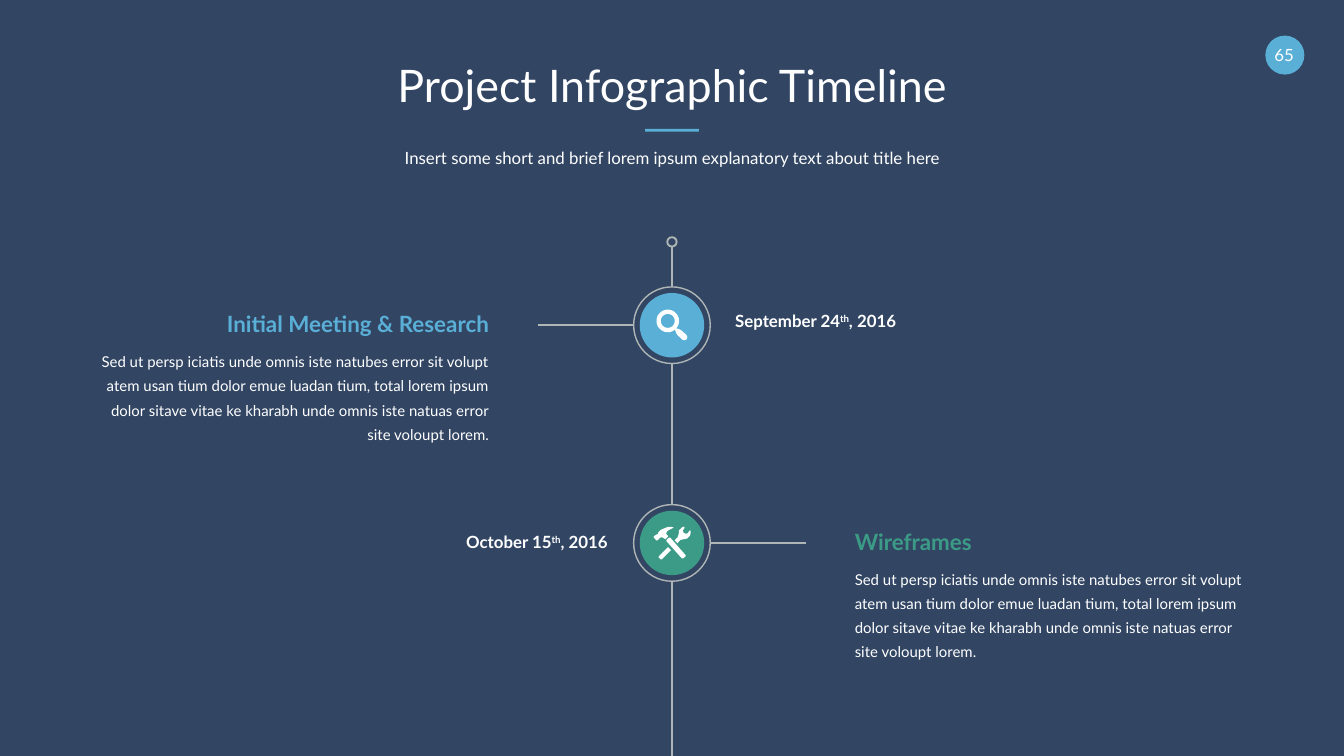
"""Build a vertical project timeline slide with two milestones."""
from dataclasses import dataclass
from math import cos, pi, sin

from lxml.etree import SubElement
from pptx import Presentation
from pptx.dml.color import RGBColor
from pptx.enum.shapes import MSO_CONNECTOR, MSO_SHAPE
from pptx.enum.text import PP_ALIGN
from pptx.oxml.ns import qn
from pptx.util import Inches, Pt

Point = tuple[float, float]
Box = tuple[float, float, float, float]
Contour = list[Point]


@dataclass(frozen=True)
class Theme:
    background: str = "324664"
    blue: str = "5AAFD7"
    green: str = "3C9B87"
    white: str = "FFFFFF"
    gray: str = "B0B6B6"
    font: str = "Lato"
    title: float = 24
    heading: float = 12
    label: float = 9
    body: float = 8
    rail: float = 1
    ring: float = 0.75


@dataclass(frozen=True)
class Milestone:
    center: float
    heading: str
    date: str
    date_top: float
    color: str
    on_left: bool
    icon: list[Contour]


def circle(x: float, y: float, radius: float) -> Contour:
    angles = [2 * pi * step / 40 for step in range(40)]
    return [(x + radius * cos(angle), y + radius * sin(angle)) for angle in angles]


THEME = Theme()
SLIDE_WIDTH = 10
SLIDE_HEIGHT = SLIDE_WIDTH * 9 / 16
AXIS = SLIDE_WIDTH / 2
RING, DISC, DOT, BADGE = 0.57, 0.48, 0.07, 0.29
TEXT_WIDTH, DATE_WIDTH, MARGIN = 2.89, 1.62, 0.75
BODY = (
    "Sed ut persp iciatis unde omnis iste natubes error sit volupt atem usan tium dolor "
    "emue luadan tium, total lorem ipsum dolor sitave vitae ke kharabh unde omnis iste "
    "natuas error site voloupt lorem."
)
MAGNIFIER = [
    circle(-31, -32, 84),
    circle(-31, -32, 52)[::-1],
    [(33, 24), (52, 28), (72, 40), (108, 72), (115, 90), (108, 106), (92, 112),
     (78, 108), (42, 74), (29, 54), (24, 33)],
]
TOOLS = [
    [(-100, 102), (-30, 32), (-8, 54), (-76, 122), (-84, 122), (-100, 108)],
    [(138, -92), (130, -92), (117, -72), (102, -68), (86, -76), (80, -92), (93, -112),
     (92, -121), (76, -118), (52, -94), (50, -66), (42, -42), (20, -20), (40, 2),
     (62, -22), (88, -28), (112, -32), (132, -52), (139, -74)],
    [(-22, -40), (-42, -22), (-42, -14), (72, 114), (82, 116), (102, 99), (102, 92),
     (-14, -40)],
    [(-92, -36), (-78, -44), (-60, -34), (-50, -28), (-30, -46), (-30, -52), (-44, -68),
     (-36, -88), (-8, -104), (10, -112), (8, -118), (-28, -120), (-54, -110), (-82, -98),
     (-100, -82), (-106, -66), (-120, -60), (-136, -48), (-136, -42), (-118, -20),
     (-110, -18), (-98, -28)],
]
MILESTONES = [
    Milestone(2.42, "Initial Meeting & Research", "September 24^th^, 2016", 2.31,
              THEME.blue, True, MAGNIFIER),
    Milestone(4.04, "Wireframes", "October 15^th^, 2016", 3.96,
              THEME.green, False, TOOLS),
]


def add_text(slide, text: str, box: Box, *, size: float, color: str = THEME.white,
             bold: bool = False, align=PP_ALIGN.LEFT, spacing: float = 1) -> None:
    frame = slide.shapes.add_textbox(*map(Inches, box)).text_frame
    frame.word_wrap = True
    frame.margin_left = frame.margin_right = frame.margin_top = frame.margin_bottom = 0
    paragraph = frame.paragraphs[0]
    paragraph.alignment = align
    paragraph.line_spacing = spacing
    for index, part in enumerate(text.split("^")):
        run = paragraph.add_run()
        run.text = part
        run.font.name = THEME.font
        run.font.size = Pt(size)
        run.font.bold = bold
        run.font.color.rgb = RGBColor.from_string(color)
        if index % 2:
            run._r.get_or_add_rPr().set("baseline", "30000")


def style_shape(shape, fill: str | None, line: str | None, width: float) -> None:
    shape.shadow.inherit = False
    if fill:
        shape.fill.solid()
        shape.fill.fore_color.rgb = RGBColor.from_string(fill)
    else:
        shape.fill.background()
    if line:
        shape.line.color.rgb = RGBColor.from_string(line)
        shape.line.width = Pt(width)
    else:
        shape.line.fill.background()


def add_shape(slide, kind, box: Box, fill: str | None = None,
              line: str | None = None, width: float = 0) -> None:
    shape = slide.shapes.add_shape(kind, *map(Inches, box))
    style_shape(shape, fill, line, width)


def add_circle(slide, center: Point, diameter: float, fill: str | None = None,
               line: str | None = None, width: float = 0) -> None:
    x, y = center
    box = (x - diameter / 2, y - diameter / 2, diameter, diameter)
    add_shape(slide, MSO_SHAPE.OVAL, box, fill, line, width)


def add_line(slide, start: Point, end: Point) -> None:
    connector = slide.shapes.add_connector(
        MSO_CONNECTOR.STRAIGHT, *map(Inches, (*start, *end)))
    connector.line.color.rgb = RGBColor.from_string(THEME.gray)
    connector.line.width = Pt(THEME.rail)
    SubElement(connector._element.spPr, qn("a:effectLst"))


def add_icon(slide, contours: list[Contour], center: Point) -> None:
    first, *others = contours
    builder = slide.shapes.build_freeform(*first[0], scale=Inches(1) / 1000)
    builder.add_line_segments(first[1:], close=True)
    for contour in others:
        builder.move_to(*contour[0])
        builder.add_line_segments(contour[1:], close=True)
    shape = builder.convert_to_shape(*map(Inches, center))
    style_shape(shape, THEME.white, None, 0)


def add_milestone(slide, milestone: Milestone) -> None:
    center = (AXIS, milestone.center)
    direction = -1 if milestone.on_left else 1
    text_left = MARGIN if milestone.on_left else SLIDE_WIDTH - MARGIN - TEXT_WIDTH
    date_left = 5.47 if milestone.on_left else 2.9
    text_align, date_align = PP_ALIGN.LEFT, PP_ALIGN.RIGHT
    if milestone.on_left:
        text_align, date_align = date_align, text_align
    add_circle(slide, center, DISC, fill=milestone.color)
    add_icon(slide, milestone.icon, center)
    add_text(slide, milestone.heading, (text_left, milestone.center - 0.11, TEXT_WIDTH, 0.2),
             size=THEME.heading, color=milestone.color, bold=True, align=text_align)
    add_text(slide, BODY, (text_left, milestone.center + 0.16, TEXT_WIDTH, 0.73),
             size=THEME.body, align=text_align, spacing=1.35)
    add_text(slide, milestone.date, (date_left, milestone.date_top, DATE_WIDTH, 0.15),
             size=THEME.label, bold=True, align=date_align)
    add_line(slide, (AXIS + direction * RING / 2, milestone.center),
             (AXIS + direction, milestone.center))
    add_circle(slide, center, RING, line=THEME.gray, width=THEME.ring)


def add_header(slide) -> None:
    add_shape(slide, MSO_SHAPE.RECTANGLE, (4.8, 0.96, 0.4, 0.02), THEME.blue)
    add_circle(slide, (9.56, 0.41), BADGE, fill=THEME.blue)
    add_text(slide, "65", (9.43, 0.33, 0.25, 0.15), size=THEME.label, align=PP_ALIGN.CENTER)
    add_text(slide, "Project Infographic Timeline", (MARGIN, 0.43, 8.5, 0.44),
             size=THEME.title, align=PP_ALIGN.CENTER)
    add_text(slide, "Insert some short and brief lorem ipsum explanatory text about title here",
             (MARGIN, 1.1, 8.5, 0.17), size=THEME.label, align=PP_ALIGN.CENTER)


def add_rail(slide) -> None:
    top = 1.8
    add_circle(slide, (AXIS, top), DOT, line=THEME.gray, width=THEME.rail)
    start = top + DOT / 2
    for milestone in MILESTONES:
        add_line(slide, (AXIS, start), (AXIS, milestone.center - RING / 2))
        start = milestone.center + RING / 2
    add_line(slide, (AXIS, start), (AXIS, SLIDE_HEIGHT))


def main() -> None:
    presentation = Presentation()
    presentation.slide_width = Inches(SLIDE_WIDTH)
    presentation.slide_height = Inches(SLIDE_HEIGHT)
    slide = presentation.slides.add_slide(presentation.slide_layouts[6])
    slide.background.fill.solid()
    slide.background.fill.fore_color.rgb = RGBColor.from_string(THEME.background)
    add_header(slide)
    add_rail(slide)
    for milestone in MILESTONES:
        add_milestone(slide, milestone)
    presentation.save("out.pptx")


if __name__ == "__main__":
    main()
